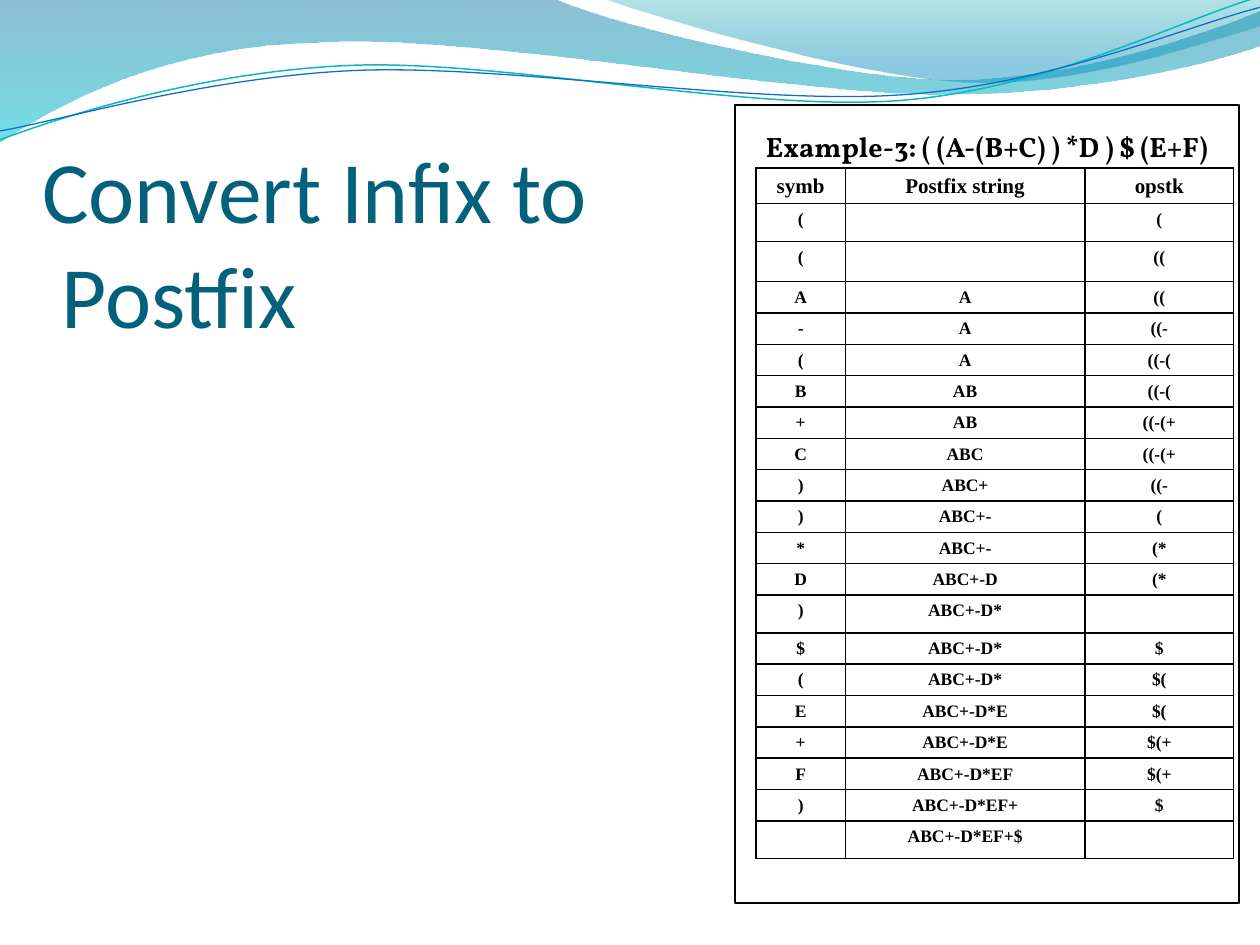
from lxml import etree
from pptx import Presentation
from pptx import util as u
from pptx.dml.color import RGBColor
from pptx.enum import shapes, text
from pptx.oxml import ns

# Content
TITLE = "Convert Infix to\v Postfix"
EXAMPLE = "Example-3: ( (A-(B+C) ) *D ) $ (E+F)"
STEPS = [
    ("symb", "Postfix string", "opstk"),
    ("(", "", "("),
    ("(", "", "(("),
    ("A", "A", "(("),
    ("-", "A", "((-"),
    ("(", "A", "((-("),
    ("B", "AB", "((-("),
    ("+", "AB", "((-(+"),
    ("C", "ABC", "((-(+"),
    (")", "ABC+", "((-"),
    (")", "ABC+-", "("),
    ("*", "ABC+-", "(*"),
    ("D", "ABC+-D", "(*"),
    (")", "ABC+-D*", ""),
    ("$", "ABC+-D*", "$"),
    ("(", "ABC+-D*", "$("),
    ("E", "ABC+-D*E", "$("),
    ("+", "ABC+-D*E", "$(+"),
    ("F", "ABC+-D*EF", "$(+"),
    (")", "ABC+-D*EF+", "$"),
    ("", "ABC+-D*EF+$", ""),
]
COLUMN_WIDTHS = (1.8, 4.83, 3.0)
ROW_HEIGHT = 0.55
TALL_ROWS = {1: 0.76, 2: 0.81, 13: 0.76, 20: 0.76}
COLORS = {
    "title": "04617B", "ink": "000000",
    "deep": "0074A1", "aqua": "00C6CF", "teal": "00A1A9", "sky": "008BBF",
    "upper line": "0AB8BF", "lower line": "0F6FC6",
}

# Outlines in cm: two numbers are a straight step, six are a Bezier curve
WAVES = [
    {"outline": [(0, 0), (11.18, -0.02),
                 (12.09, 0.43, 16.87, 1.6, 19.25, 1.6),
                 (21.67, 1.6, 24.33, 0.66, 25.4, 0.23), (25.43, 0.91),
                 (24.97, 1.12, 22.1, 1.93, 18.95, 1.9),
                 (15.8, 1.9, 9.7, 0.71, 6.53, 0.86),
                 (3.28, 0.91, 1.17, 2.11, -0.02, 2.87)],
     "stops": [(0, "deep", 45), (1, "aqua", 55)]},
    {"outline": [(12.17, -0.02),
                 (12.93, 0.28, 17.32, 1.57, 19.53, 1.65),
                 (21.74, 1.75, 24.41, 0.81, 25.4, 0.53), (25.4, 0)],
     "stops": [(0, "teal", 30), (0.8, "sky", 45)]},
    {"outline": [(0, 2.82),
                 (1.22, 2.36, 4.01, 1.45, 7.04, 1.32),
                 (10.03, 1.19, 15.06, 2.26, 18.11, 2.03),
                 (21.16, 1.8, 23.83, 0.38, 25.35, -0.05)],
     "line": ("upper line", 0.85)},
    {"outline": [(0, 2.64),
                 (1.19, 2.44, 4.17, 1.55, 7.19, 1.42),
                 (10.24, 1.3, 15.16, 2.13, 18.21, 1.91),
                 (21.23, 1.7, 23.9, 0.53, 25.4, 0.15)],
     "line": ("lower line", 0.75)},
]


def color(name):
    return RGBColor.from_string(COLORS[name])


def bend(wave, outline):
    """Turn the straight steps of a freeform into its Bezier curves."""
    steps = list(wave._element.iter(ns.qn("a:lnTo")))
    for node, step in zip(steps, outline[1:]):
        if len(step) == 2:
            continue
        curve = etree.Element(ns.qn("a:cubicBezTo"))
        for x, y in zip(step[::2], step[1::2]):
            etree.SubElement(curve, ns.qn("a:pt"),
                             x=str(u.Cm(x) - wave.left), y=str(u.Cm(y) - wave.top))
        node.getparent().replace(node, curve)


def add_wave(page, outline, stops=None, line=None):
    points = [(u.Cm(step[-2]), u.Cm(step[-1])) for step in outline]
    builder = page.shapes.build_freeform(*points[0], scale=1.0)
    builder.add_line_segments(points[1:], close=bool(stops))
    wave = builder.convert_to_shape()
    bend(wave, outline)
    wave.shadow.inherit = False
    if line:
        wave.fill.background()
        wave.line.color.rgb = color(line[0])
        wave.line.width = u.Pt(line[1])
        return
    wave.line.fill.background()
    wave.fill.gradient()
    wave.fill.gradient_angle = 270
    for stop, (position, name, _) in zip(wave.fill.gradient_stops, stops):
        stop.position = position
        stop.color.rgb = color(name)
    for node, (_, _, opacity) in zip(wave._element.spPr.iter(ns.qn("a:srgbClr")), stops):
        etree.SubElement(node, ns.qn("a:alpha"), val=str(opacity * 1000))


def format_text(paragraph, font, size, name, bold=False):
    for span in paragraph.runs:
        span.font.name = font
        span.font.size = u.Pt(size)
        span.font.bold = bold
        span.font.color.rgb = color(name)


def add_borders(cell):
    properties = cell._tc.get_or_add_tcPr()
    for side in ("lnL", "lnR", "lnT", "lnB"):
        border = etree.SubElement(properties, ns.qn("a:" + side), w=str(u.Pt(1)))
        fill = etree.SubElement(border, ns.qn("a:solidFill"))
        etree.SubElement(fill, ns.qn("a:srgbClr"), val=COLORS["ink"])


def add_title(page):
    box = page.shapes.add_textbox(u.Cm(0.85), u.Cm(2.31), u.Cm(11.23), u.Cm(4.66))
    frame = box.text_frame
    frame.word_wrap = True
    frame.vertical_anchor = text.MSO_ANCHOR.BOTTOM
    frame.margin_left = frame.margin_right = frame.margin_bottom = 0
    frame.paragraphs[0].text = TITLE
    format_text(frame.paragraphs[0], "Calibri", 50, "title")


def add_example(page):
    box = page.shapes.add_shape(shapes.MSO_SHAPE.RECTANGLE,
                                u.Cm(14.82), u.Cm(2.12), u.Cm(10.16), u.Cm(16.09))
    box.shadow.inherit = False
    box.fill.background()
    box.line.color.rgb = color("ink")
    box.line.width = u.Pt(1)
    frame = box.text_frame
    frame.word_wrap = False
    frame.vertical_anchor = text.MSO_ANCHOR.TOP
    frame.margin_top = u.Cm(0.5)
    frame.text = EXAMPLE
    frame.paragraphs[0].alignment = text.PP_ALIGN.CENTER
    format_text(frame.paragraphs[0], "Vollkorn", 16, "ink", bold=True)


def add_steps(page):
    heights = [TALL_ROWS.get(i, ROW_HEIGHT) for i in range(len(STEPS))]
    table = page.shapes.add_table(len(STEPS), len(COLUMN_WIDTHS), u.Cm(15.24), u.Cm(3.39),
                                  u.Cm(sum(COLUMN_WIDTHS)), u.Cm(sum(heights))).table
    table.first_row = table.horz_banding = False
    for column, width in zip(table.columns, COLUMN_WIDTHS):
        column.width = u.Cm(width)
    for i, (row, height, values) in enumerate(zip(table.rows, heights, STEPS)):
        row.height = u.Cm(height)
        for cell, value in zip(row.cells, values):
            add_borders(cell)
            cell.fill.background()
            cell.margin_bottom = u.Cm(0.08)
            paragraph = cell.text_frame.paragraphs[0]
            paragraph.alignment = text.PP_ALIGN.CENTER
            if value:
                paragraph.text = value
                format_text(paragraph, "Times New Roman", 10 if i else 12, "ink", bold=True)
            else:  # keeps an empty cell from stretching its row
                etree.SubElement(paragraph._p, ns.qn("a:endParaRPr"), sz="1000")


def main():
    deck = Presentation()
    deck.slide_width, deck.slide_height = u.Cm(25.4), u.Cm(19.05)
    page = deck.slides.add_slide(deck.slide_layouts[6])
    for wave in WAVES:
        add_wave(page, **wave)
    add_title(page)
    add_example(page)
    add_steps(page)
    deck.save("out.pptx")


if __name__ == "__main__":
    main()
